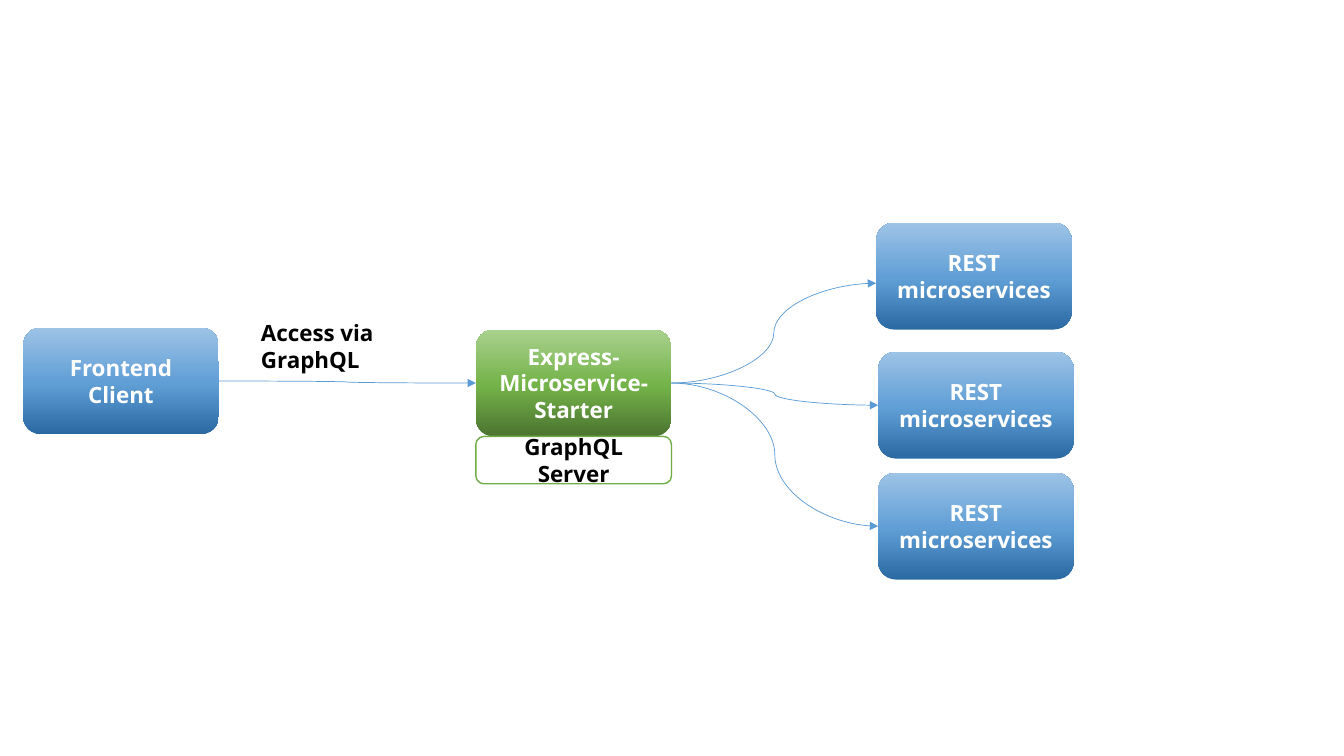
from copy import deepcopy

from pptx import Presentation
from pptx.dml.color import RGBColor
from pptx.enum.shapes import MSO_CONNECTOR, MSO_SHAPE
from pptx.enum.text import MSO_ANCHOR, MSO_AUTO_SIZE, PP_ALIGN
from pptx.oxml.ns import qn
from pptx.oxml.xmlchemy import OxmlElement
from pptx.util import Inches, Pt

ROUNDED = MSO_SHAPE.ROUNDED_RECTANGLE
CURVE = MSO_CONNECTOR.CURVE
CENTER, LEFT = PP_ALIGN.CENTER, PP_ALIGN.LEFT
MIDDLE = MSO_ANCHOR.MIDDLE
FIT_SHAPE = MSO_AUTO_SIZE.SHAPE_TO_FIT_TEXT

WHITE = RGBColor(0xFF, 0xFF, 0xFF)
BLACK = RGBColor(0x00, 0x00, 0x00)
GREEN_LINE = RGBColor(0x70, 0xAD, 0x47)
BLUE_LINE = RGBColor(0x5B, 0x9B, 0xD5)
# Gradients run from the bottom edge to the top edge
BLUES = (RGBColor(0x2A, 0x69, 0xA2), RGBColor(0x60, 0x9E, 0xD6), RGBColor(0x9D, 0xC3, 0xE6))
GREENS = (RGBColor(0x4B, 0x74, 0x30), RGBColor(0x74, 0xB3, 0x49), RGBColor(0xA9, 0xD1, 0x8E))
STOP_POSITIONS = (0, 0.48, 1)

NODE_W, NODE_H = 1.94, 1.06
SERVER_H = 0.47
LEFT_SITE, RIGHT_SITE = 1, 3
LABEL_FONT = {"name": "Open Sans", "size": Pt(16), "bold": True}


def write_label(frame, lines, color, align):
    frame.word_wrap = True
    frame.text = "\n".join(lines)
    for paragraph in frame.paragraphs:
        paragraph.alignment = align
        font = paragraph.runs[0].font
        for attribute, value in LABEL_FONT.items():
            setattr(font, attribute, value)
        font.color.rgb = color


def add_rounded_box(slide, box, lines, color):
    rounded = slide.shapes.add_shape(ROUNDED, *map(Inches, box))
    rounded.shadow.inherit = False
    rounded.text_frame.vertical_anchor = MIDDLE
    write_label(rounded.text_frame, lines, color, CENTER)
    return rounded


def add_node(slide, left, top, lines, colors):
    node = add_rounded_box(slide, (left, top, NODE_W, NODE_H), lines, WHITE)
    node.line.fill.background()
    node.fill.gradient()
    node.fill.gradient_angle = 90
    # The default gradient has two stops; add the middle one
    stop_list = node.fill._fill._gradFill.find(qn("a:gsLst"))
    stop_list.append(deepcopy(stop_list[-1]))
    for stop, position, color in zip(node.fill.gradient_stops, STOP_POSITIONS, colors):
        stop.position = position
        stop.color.rgb = color
    return node


def add_arrow(slide, source, target, arrival=None):
    """Curve from source to target; arrival is a height off the target's middle."""
    arrow = slide.shapes.add_connector(
        CURVE, source.left + source.width, source.top + source.height // 2,
        target.left, Inches(arrival or 0))
    arrow.begin_connect(source, RIGHT_SITE)
    if arrival is None:
        arrow.end_connect(target, LEFT_SITE)
    arrow.line.color.rgb = BLUE_LINE
    arrow.line.width = Pt(0.5)
    head = OxmlElement("a:tailEnd")
    head.set("type", "triangle")
    arrow.line._get_or_add_ln().append(head)
    arrow._element.spPr.append(OxmlElement("a:effectLst"))


def add_client(slide, left, top):
    client = add_node(slide, left, top, ["Frontend", "Client"], BLUES)
    access = slide.shapes.add_textbox(
        *map(Inches, (left + 2.26, top - 0.13, 2.07, 0.64)))
    write_label(access.text_frame, ["Access via GraphQL"], BLACK, LEFT)
    access.text_frame.auto_size = FIT_SHAPE
    return client


def add_starter(slide, left, top):
    starter = add_node(slide, left, top, ["Express-Microservice-Starter"], GREENS)
    server = add_rounded_box(slide, (left, top + NODE_H, NODE_W, SERVER_H),
                             ["GraphQL Server"], BLACK)
    server.fill.solid()
    server.fill.fore_color.rgb = WHITE
    server.line.color.rgb = GREEN_LINE
    server.line.width = Pt(1)
    return starter


def add_services(slide, left, top, starter):
    # Offset of each service from the region's corner, and arrow arrival height
    for dx, dy, arrival in ((0, 0, top + 0.6), (0.02, 1.28, None), (0.02, 2.48, None)):
        service = add_node(slide, left + dx, top + dy, ["REST microservices"], BLUES)
        add_arrow(slide, starter, service, arrival)


presentation = Presentation()
presentation.slide_width, presentation.slide_height = Inches(13.33), Inches(7.5)
diagram = presentation.slides.add_slide(presentation.slide_layouts[6])

# Client, gateway and the services behind it
frontend = add_client(diagram, 0.23, 3.25)
gateway = add_starter(diagram, 4.72, 3.27)
add_arrow(diagram, frontend, gateway)
add_services(diagram, 8.69, 2.21, gateway)

presentation.save("out.pptx")
